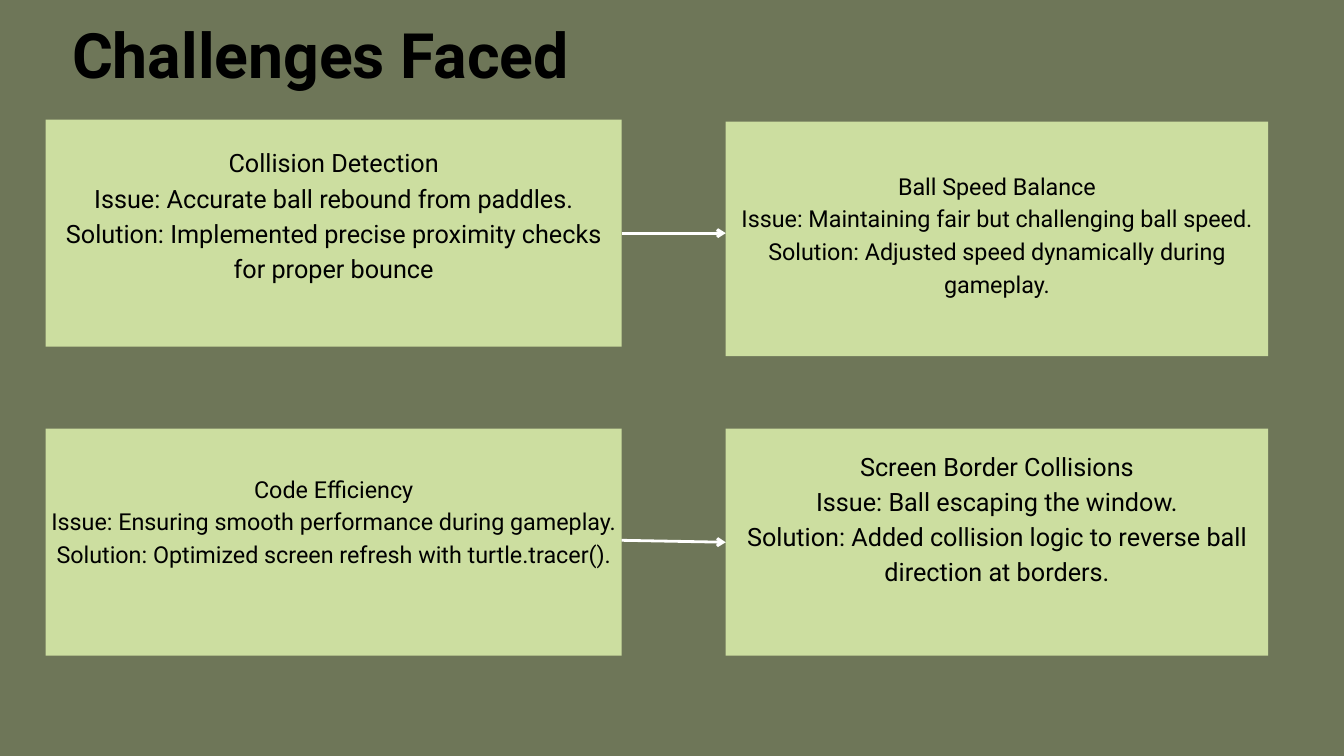
import dataclasses

import lxml.etree
import pptx
import pptx.dml.color
import pptx.enum.shapes
import pptx.enum.text
import pptx.oxml.ns
import pptx.util


@dataclasses.dataclass(frozen=True)
class Theme:
    background: str = "6E7658"
    card: str = "CCDEA0"
    text: str = "000000"
    arrow: str = "FFFFFF"
    font: str = "Roboto"
    title_size: int = 67
    large: int = 27
    small: int = 25
    leading: float = 1.4
    arrow_width: int = 3
    inset: float = 0.5  # percent of the slide height


THEME = Theme()
WIDTH, HEIGHT = pptx.util.Inches(20), pptx.util.Inches(11.25)

# Boxes are left, top, width, height in percent of the slide.
LEFT, LEFT_WIDTH = 3.4, 42.85
RIGHT, RIGHT_WIDTH = 54, 40.35
LOWER, CARD_HEIGHT = 56.7, 30.04
TITLE_BOX = (LEFT, 0.44, 40.9, 11.11)

# Box, type size, extra space below the text (percent), lines.
CARDS = [
    ((LEFT, 15.82, LEFT_WIDTH, CARD_HEIGHT), THEME.large, 5.3, [
        "Collision Detection",
        "Issue: Accurate ball rebound from paddles.",
        "Solution: Implemented precise proximity checks for proper bounce",
    ]),
    ((RIGHT, 16.09, RIGHT_WIDTH, 31.02), THEME.small, 1.7, [
        "Ball Speed Balance",
        "Issue: Maintaining fair but challenging ball speed.",
        "Solution: Adjusted speed dynamically during gameplay.",
    ]),
    ((LEFT, LOWER, LEFT_WIDTH, CARD_HEIGHT), THEME.small, 6.1, [
        "Code Efficiency",
        "Issue: Ensuring smooth performance during gameplay.",
        "Solution: Optimized screen refresh with turtle.tracer().",
    ]),
    ((RIGHT, LOWER, RIGHT_WIDTH, CARD_HEIGHT), THEME.large, 6.8, [
        "Screen Border Collisions",
        "Issue: Ball escaping the window.",
        "Solution: Added collision logic to reverse ball direction at borders.",
    ]),
]
ARROW_HEIGHTS = [(30.84, 30.84), (71.47, 71.73)]


def across(share):
    return round(WIDTH * share / 100)


def down(share):
    return round(HEIGHT * share / 100)


def place(box):
    left, top, width, height = box
    return across(left), down(top), across(width), down(height)


def rgb(color):
    return pptx.dml.color.RGBColor.from_string(color)


def apply(target, formats):
    for name, value in formats.items():
        setattr(target, name, value)


def write(tf, lines, size, frame, bold=False):
    """Fill a text frame with centred paragraphs, one for each line."""
    apply(tf, {"word_wrap": True, **frame})
    for i, line in enumerate(lines):
        p = tf.paragraphs[0] if i == 0 else tf.add_paragraph()
        apply(p, {
            "alignment": pptx.enum.text.PP_ALIGN.CENTER,
            "line_spacing": pptx.util.Pt(size * THEME.leading),
        })
        r = p.add_run()
        r.text = line
        apply(r.font, {"name": THEME.font, "size": pptx.util.Pt(size), "bold": bold})
        r.font.color.rgb = rgb(THEME.text)


def add_title(slide, box, text):
    sp = slide.shapes.add_textbox(*place(box))
    sides = ("left", "top", "right", "bottom")
    frame = {f"margin_{side}": 0 for side in sides}
    write(sp.text_frame, [text], THEME.title_size, frame, bold=True)


def add_card(slide, box, size, space_below, lines):
    sp = slide.shapes.add_shape(pptx.enum.shapes.MSO_SHAPE.RECTANGLE, *place(box))
    sp.shadow.inherit = False
    sp.fill.solid()
    sp.fill.fore_color.rgb = rgb(THEME.card)
    sp.line.fill.background()
    inset = down(THEME.inset)
    write(sp.text_frame, lines, size, {
        "vertical_anchor": pptx.enum.text.MSO_ANCHOR.MIDDLE,
        "margin_left": inset,
        "margin_right": inset,
        "margin_top": inset,
        "margin_bottom": inset + down(space_below),
    })


def add_arrow(slide, start, end):
    """Join the two columns of cards, from height start to height end."""
    line = slide.shapes.add_connector(
        pptx.enum.shapes.MSO_CONNECTOR.STRAIGHT,
        across(LEFT + LEFT_WIDTH), down(start), across(RIGHT), down(end))
    line.line.color.rgb = rgb(THEME.arrow)
    line.line.width = pptx.util.Pt(THEME.arrow_width)
    qn = pptx.oxml.ns.qn
    properties = line._element.spPr
    lxml.etree.SubElement(properties.find(qn("a:ln")), qn("a:tailEnd"), type="arrow")
    lxml.etree.SubElement(properties, qn("a:effectLst"))


def add_challenges_slide(prs):
    slide = prs.slides.add_slide(prs.slide_layouts[6])
    slide.background.fill.solid()
    slide.background.fill.fore_color.rgb = rgb(THEME.background)
    add_title(slide, TITLE_BOX, "Challenges Faced")
    for card in CARDS:
        add_card(slide, *card)
    for start, end in ARROW_HEIGHTS:
        add_arrow(slide, start, end)


def main():
    prs = pptx.Presentation()
    apply(prs, {"slide_width": WIDTH, "slide_height": HEIGHT})
    add_challenges_slide(prs)
    prs.save("out.pptx")


if __name__ == "__main__":
    main()
